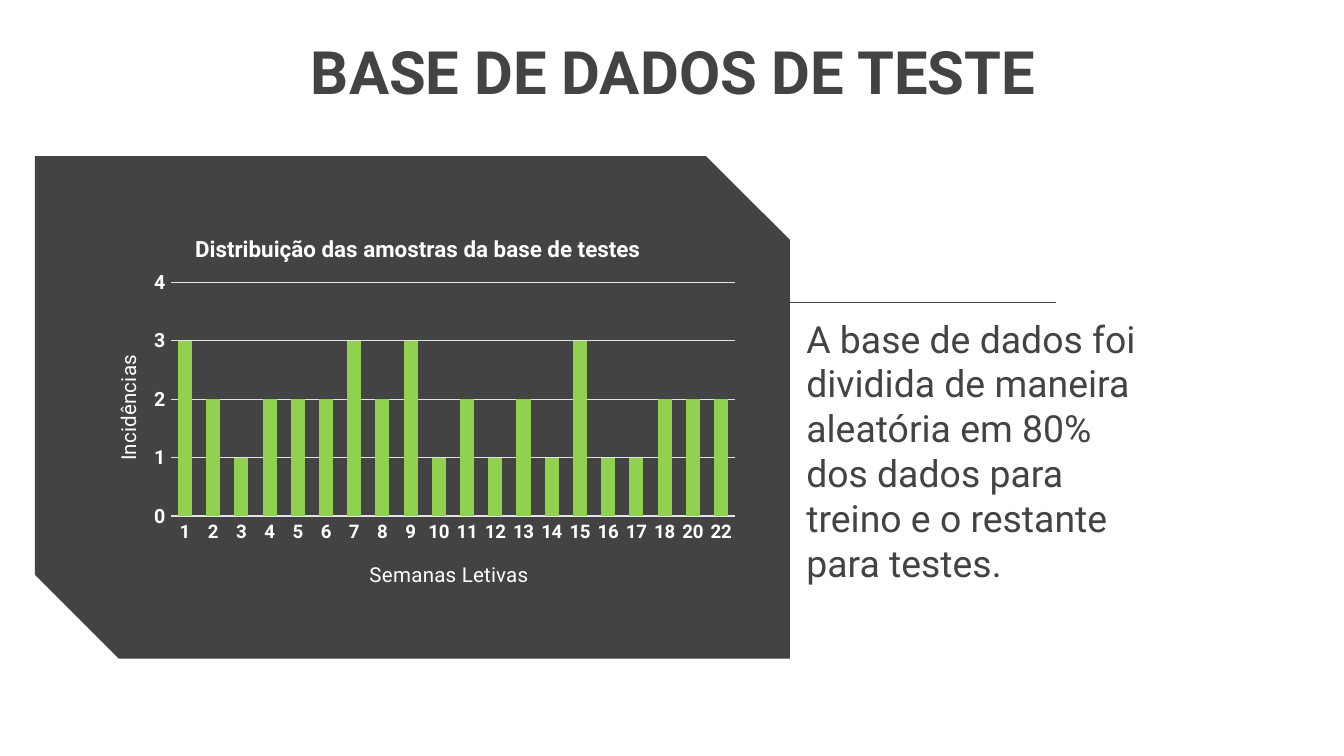
from dataclasses import dataclass

from lxml.etree import SubElement
from pptx import Presentation
from pptx.chart.data import CategoryChartData
from pptx.dml.color import RGBColor
from pptx.enum.chart import XL_CHART_TYPE as ChartType, XL_TICK_MARK as TickMark
from pptx.enum.shapes import MSO_CONNECTOR as Connector, MSO_SHAPE as Shape
from pptx.enum.text import MSO_ANCHOR as Anchor, MSO_AUTO_SIZE as AutoSize, PP_ALIGN as Align
from pptx.oxml import parse_xml
from pptx.oxml.ns import nsdecls, qn
from pptx.util import Cm, Pt


@dataclass(frozen=True)
class Theme:
    font: str = "Roboto"
    dark: RGBColor = RGBColor(0x43, 0x43, 0x43)
    light: RGBColor = RGBColor(0xFF, 0xFF, 0xFF)
    grid: RGBColor = RGBColor(0xE3, 0xE3, 0xE3)
    bar: RGBColor = RGBColor(0x92, 0xD0, 0x50)
    heading: float = 32
    body: float = 20
    chart_title: float = 12
    axis_title: float = 11
    value_label: float = 10.5
    week_label: float = 10


theme = Theme()


def style(font, size, color, bold=False):
    values = {"name": theme.font, "size": Pt(size), "bold": bold}
    for name, value in values.items():
        setattr(font, name, value)
    font.color.rgb = color


def place(element, index, **fractions):
    """Give a chart part a manual layout, in fractions of the chart's size."""
    for old in element.findall(qn("c:layout")):
        element.remove(old)
    layout = parse_xml(f"<c:layout {nsdecls('c')}/>")
    manual = SubElement(layout, qn("c:manualLayout"))
    if "w" in fractions:
        SubElement(manual, qn("c:layoutTarget")).set("val", "inner")
    for mode in ("xMode", "yMode"):
        SubElement(manual, qn(f"c:{mode}")).set("val", "edge")
    for name, value in fractions.items():
        SubElement(manual, qn(f"c:{name}")).set("val", str(value))
    element.insert(index, layout)


deck = Presentation()
deck.slide_width, deck.slide_height = Cm(25.4), Cm(14.29)
page = deck.slides.add_slide(deck.slide_layouts[5])

# Heading and explanation
heading = page.shapes.title
heading.left, heading.top, heading.width, heading.height = Cm(5.49), Cm(0.41), Cm(14.48), Cm(2.62)
explanation = page.shapes.add_textbox(Cm(14.99), Cm(5.72), Cm(7.21), Cm(5.79))
texts = [
    (heading, "BASE DE DADOS DE TESTE", theme.heading, True, Align.CENTER),
    (explanation, "A base de dados foi dividida de maneira aleatória em 80% dos dados "
     "para treino e o restante para testes.", theme.body, False, Align.LEFT),
]
frame_format = {"word_wrap": True, "auto_size": AutoSize.NONE, "vertical_anchor": Anchor.TOP}
for side in ("left", "top", "right", "bottom"):
    frame_format[f"margin_{side}"] = Cm(0.25)
for box, text, size, bold, align in texts:
    for name, value in frame_format.items():
        setattr(box.text_frame, name, value)
    para = box.text_frame.paragraphs[0]
    para.alignment = align
    span = para.add_run()
    span.text = text
    style(span.font, size, theme.dark, bold)

# Rule above the explanation, running out from behind the panel
rule = page.shapes.add_connector(Connector.STRAIGHT, Cm(14.15), Cm(5.72), Cm(19.96), Cm(5.72))
rule.line.color.rgb = theme.dark
rule.line.width = Pt(0.75)
SubElement(rule.element.spPr, qn("a:effectLst"))

panel = page.shapes.add_shape(Shape.SNIP_2_DIAG_RECTANGLE, Cm(0.66), Cm(2.95), Cm(14.27), Cm(9.5))
panel.adjustments[0], panel.adjustments[1] = 0, 0.167
panel.shadow.inherit = False
panel.fill.solid()
panel.fill.fore_color.rgb = theme.dark
panel.line.fill.background()

# Samples per school week
weeks = [*range(1, 19), 20, 22]
samples = [3, 2, 1, 2, 2, 2, 3, 2, 3, 1, 2, 1, 2, 1, 3, 1, 1, 2, 2, 2]
data = CategoryChartData()
data.categories = [str(week) for week in weeks]
data.add_series("Series 1", samples)
chart = page.shapes.add_chart(
    ChartType.COLUMN_CLUSTERED, Cm(1.45), Cm(3.89), Cm(12.7), Cm(7.62), data).chart
chart.has_legend = False
style(chart.font, theme.week_label, theme.light)
chart.element.find(qn("c:chart")).addnext(parse_xml(
    f"<c:spPr {nsdecls('c', 'a')}><a:solidFill><a:srgbClr val='{theme.dark}'/></a:solidFill>"
    "<a:ln><a:noFill/></a:ln></c:spPr>"))

plot = chart.plots[0]
plot.gap_width, plot.overlap, plot.vary_by_categories = 100, -27, False
bars = plot.series[0].format.fill
bars.solid()
bars.fore_color.rgb = theme.bar

week_axis, value_axis = chart.category_axis, chart.value_axis
value_axis.minimum_scale, value_axis.maximum_scale, value_axis.major_unit = 0, 4, 1
value_axis.has_major_gridlines = True
value_axis.format.line.fill.background()
for line in (value_axis.major_gridlines.format.line, week_axis.format.line):
    line.color.rgb = theme.grid
    line.width = Pt(0.75)
for axis, size in ((week_axis, theme.week_label), (value_axis, theme.value_label)):
    axis.major_tick_mark = axis.minor_tick_mark = TickMark.NONE
    style(axis.tick_labels.font, size, theme.light, True)

titles = [
    (chart.chart_title, "Distribuição das amostras da base de testes",
     theme.chart_title, True, 0.17, 0.06),
    (week_axis.axis_title, "Semanas Letivas", theme.axis_title, False, 0.43, 0.87),
    (value_axis.axis_title, "Incidências", theme.axis_title, False, 0.05, 0.36),
]
for title, text, size, bold, x, y in titles:
    para = title.text_frame.paragraphs[0]
    span = para.add_run()
    span.text = text
    style(span.font, size, theme.light, bold)
    place(title.element, 1, x=x, y=y)
turned = value_axis.axis_title.element.find(".//" + qn("a:bodyPr"))
turned.set("rot", "-5400000")
turned.set("vert", "horz")
place(chart.element.find(".//" + qn("c:plotArea")), 0, x=0.14, y=0.19, w=0.84, h=0.58)

deck.save("out.pptx")
